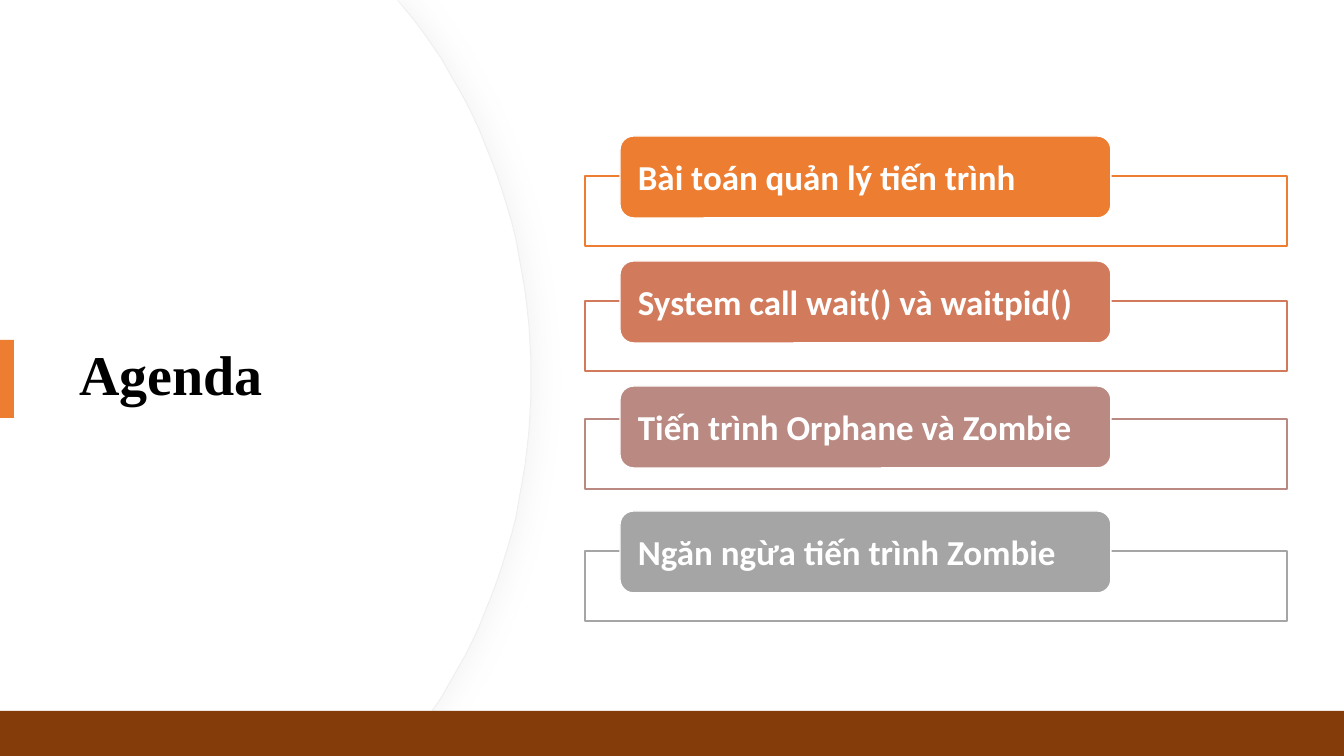
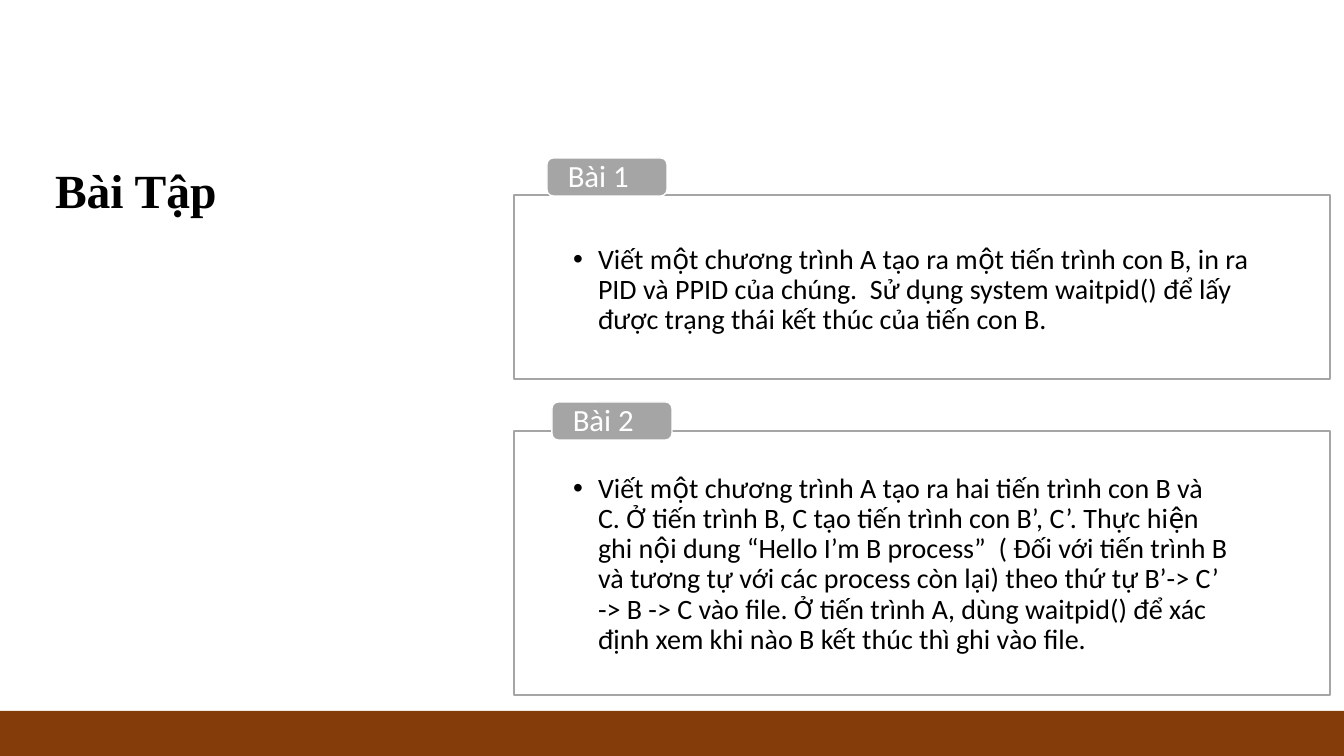
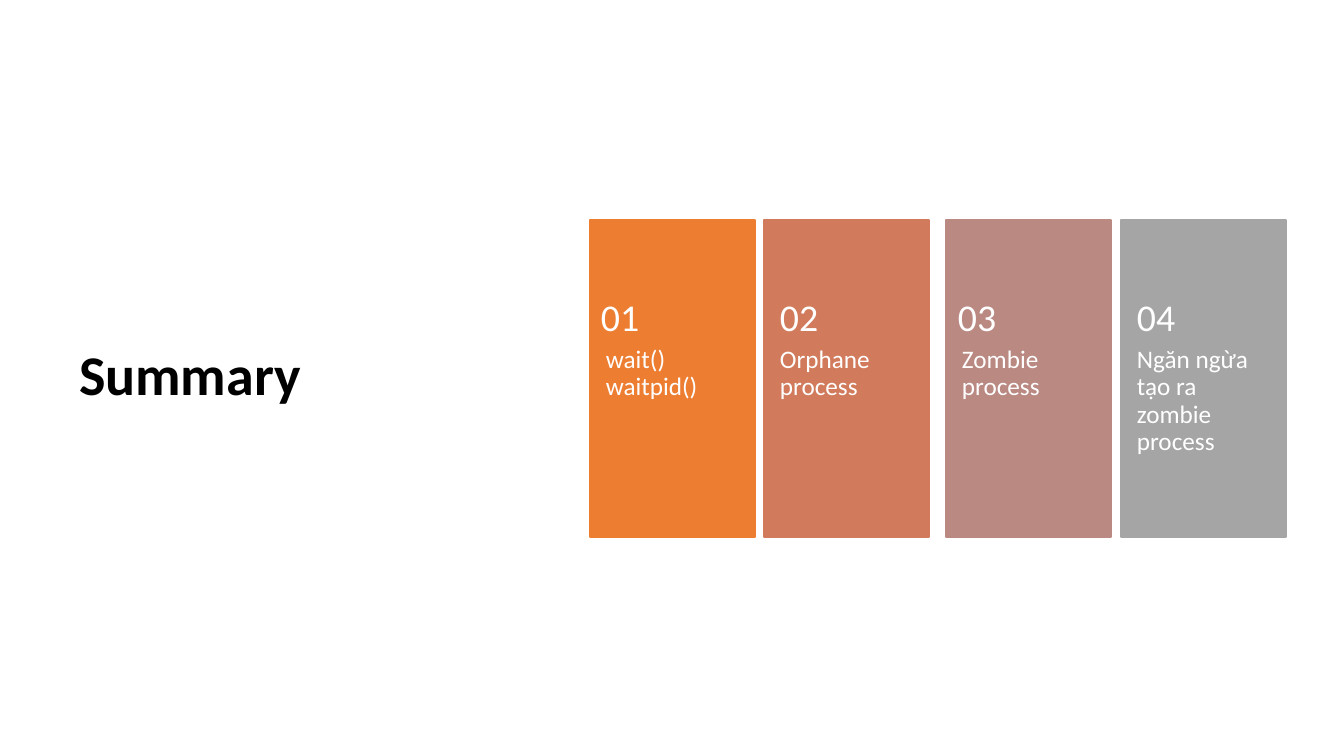
import lxml.etree
import pptx
import pptx.dml.color
import pptx.enum.shapes
import pptx.enum.text
import pptx.oxml.ns
import pptx.util

PX = 914400 / 100.8
WIDTH, HEIGHT = 1344, 756
WHITE, BLACK, BROWN, RIM, SHADE = "FFFFFF", "000000", "843C0B", "EFEFEF", "D9D9D9"
ORANGE, GREY = "ED7D31", "A5A5A5"
STEPS = [ORANGE, "D17B5C", "B98982", GREY]
RECT = pptx.enum.shapes.MSO_SHAPE.RECTANGLE
ROUNDED = pptx.enum.shapes.MSO_SHAPE.ROUNDED_RECTANGLE
TOP = pptx.enum.text.MSO_ANCHOR.TOP
MIDDLE = pptx.enum.text.MSO_ANCHOR.MIDDLE
BOTTOM = pptx.enum.text.MSO_ANCHOR.BOTTOM

TITLE = {"size": 40, "bold": True, "color": BLACK, "insets": (10, 5, 10, 5), "spacing": 0.9}
LABEL = {"size": 25, "bold": True, "insets": (14, 0, 14, 0)}
TAB = {"size": 22, "insets": (19, 1, 19, 0), "spacing": 0.9}
TASK = {"size": 20, "color": BLACK, "anchor": TOP, "spacing": 0.9}
CAPTION = {"size": 18, "insets": (16, 127, 16, 36), "anchor": TOP, "spacing": 0.9}
NUMBER = {"size": 27, "insets": (16, 18, 16, 18), "spacing": 0.9}

# The Vietnamese keyboard types a tone as a combining mark after its vowel
VOWELS = "aăâeêioôơuưy"
TONES = {0x300: "àằầèềìòồờùừỳ", 0x301: "áắấéếíóốớúứý", 0x303: "ãẵẫẽễĩõỗỡũữỹ",
         0x309: "ảẳẩẻểỉỏổởủửỷ", 0x323: "ạặậẹệịọộợụựỵ"}
TYPED_TONES = str.maketrans({
    toned: vowel + chr(mark)
    for mark, row in TONES.items()
    for toned, vowel in zip(row + row.upper(), VOWELS + VOWELS.upper())})


def rgb(code):
    return pptx.dml.color.RGBColor.from_string(code)


def dress(shape, at, fill=None, line=None, text="", size=18, bold=False, color=WHITE,
          font="Calibri", insets=(0, 0, 0, 0), anchor=MIDDLE, spacing=1.0):
    """Place a shape, text box or placeholder, paint it and write its one paragraph."""
    for side, length in zip(("left", "top", "width", "height"), at):
        setattr(shape, side, round(length * PX))
    shape.shadow.inherit = False
    for paint, code in ((shape.fill, fill), (shape.line.fill, line)):
        if code:
            paint.solid()
            paint.fore_color.rgb = rgb(code)
        else:
            paint.background()
    if line:
        shape.line.width = pptx.util.Pt(1)
    if not text:
        return
    frame = shape.text_frame
    margins = ("margin_left", "margin_top", "margin_right", "margin_bottom")
    layout = {name: round(inset * PX) for name, inset in zip(margins, insets)}
    layout |= {"word_wrap": True, "vertical_anchor": anchor,
               "auto_size": pptx.enum.text.MSO_AUTO_SIZE.NONE}
    for name, value in layout.items():
        setattr(frame, name, value)
    paragraph = frame.paragraphs[0]
    flow = {"alignment": pptx.enum.text.PP_ALIGN.LEFT, "line_spacing": spacing,
            "space_before": pptx.util.Pt(0)}
    for name, value in flow.items():
        setattr(paragraph, name, value)
    run = paragraph.add_run()
    run.text = text.translate(TYPED_TONES)
    for name, value in {"name": font, "size": pptx.util.Pt(size), "bold": bold}.items():
        setattr(run.font, name, value)
    run.font.color.rgb = rgb(color)


deck = pptx.Presentation()
deck.slide_width, deck.slide_height = round(WIDTH * PX), round(HEIGHT * PX)
TITLE_ONLY, TWO_CONTENT = deck.slide_layouts[5], deck.slide_layouts[3]
agenda, exercises, summary = [
    deck.slides.add_slide(layout) for layout in (TITLE_ONLY, TWO_CONTENT, TITLE_ONLY)]

# Shared titles and bottom band
SIDE_TITLE = (69, 128, 397, 499)
for slide, text, at, look in (
        (agenda, "Agenda", SIDE_TITLE, {"font": "Times New Roman"}),
        (exercises, "Bài Tập", (45, 104, 490, 120),
         {"font": "Times New Roman", "size": 34, "anchor": BOTTOM}),
        (summary, "Summary", SIDE_TITLE, {})):
    dress(slide.shapes.title, at, text=text, **(TITLE | look))

# Agenda: curved panel behind the title, its right edge a mirrored Bezier curve
SAMPLES = 24
for edge, rim in ((531, RIM), (530, None)):
    control = [(edge - 127, 8), (edge - 48, 103), (edge, 234), (edge, 378)]
    upper = []
    for sample in range(SAMPLES + 1):
        t = sample / SAMPLES
        weights = ((1 - t) ** 3, 3 * t * (1 - t) ** 2, 3 * t ** 2 * (1 - t), t ** 3)
        upper.append([sum(w * point[axis] for w, point in zip(weights, control))
                      for axis in (0, 1)])
    lower = [(x, HEIGHT - y) for x, y in reversed(upper[:-1])]
    outline = agenda.shapes.build_freeform(0, 0, scale=PX)
    outline.add_line_segments(
        [(397, 0), *upper, *lower, (397, HEIGHT), (0, HEIGHT)], close=True)
    panel = outline.convert_to_shape()
    dress(panel, (0, 0, edge, HEIGHT), WHITE, rim)
    agenda.shapes.title._element.addprevious(panel._element)
    if rim:
        panel.line.width = pptx.util.Pt(0.75)
        qn = pptx.oxml.ns.qn
        effects = panel._element.spPr.find(qn("a:effectLst"))
        shadow = lxml.etree.SubElement(
            effects, qn("a:outerShdw"), blurRad=str(pptx.util.Pt(20)),
            dist=str(pptx.util.Pt(3)), dir="0", algn="l", rotWithShape="0")
        shade = lxml.etree.SubElement(shadow, qn("a:srgbClr"), val=SHADE)
        lxml.etree.SubElement(shade, qn("a:alpha"), val="30000")

dress(agenda.shapes.add_shape(RECT, 0, 0, 0, 0), (0, 340, 14, 78), ORANGE)
for slide in (agenda, exercises):
    dress(slide.shapes.add_shape(RECT, 0, 0, 0, 0), (0, 711, WIDTH, 45), BROWN)

topics = [("Bài toán quản lý tiến trình", 40), ("System call wait() và waitpid()", 40),
          ("Tiến trình Orphane và Zombie", 33), ("Ngăn ngừa tiến trình Zombie", 40)]
for row, (topic, drop) in enumerate(topics):
    top = 136 + 125 * row
    dress(agenda.shapes.add_shape(RECT, 0, 0, 0, 0), (585, top + drop, 702, 70),
          WHITE, STEPS[row])
    dress(agenda.shapes.add_shape(ROUNDED, 0, 0, 0, 0), (620, top, 491, 82),
          STEPS[row], WHITE, topic, **LABEL)

# Exercises: framed tasks, each with a tab on its upper edge
tasks = [
    ("Bài 1", (547, 158), (195, 184), (59, 50, 68, 17),
     "Viết một chương trình A tạo ra một tiến trình con B, in ra PID và PPID của chúng.  "
     "Sử dụng system waitpid() để lấy được trạng thái kết thúc của tiến con B."),
    ("Bài 2", (552, 402), (431, 264), (59, 43, 102, 17),
     "Viết một chương trình A tạo ra hai tiến trình con B và C. Ở tiến trình B, C tạo "
     "tiến trình con B’, C’. Thực hiện ghi nội dung “Hello I’m B process”  ( Đối với "
     "tiến trình B và tương tự với các process còn lại) theo thứ tự B’-> C’ -> B -> C "
     "vào file. Ở tiến trình A, dùng waitpid() để xác định xem khi nào B kết thúc thì "
     "ghi vào file."),
]
for number, (heading, corner, (top, height), insets, task) in enumerate(tasks, 1):
    body = exercises.placeholders[number]
    dress(body, (514, top, 816, height), WHITE, GREY, task, insets=insets, **TASK)
    indents = body.text_frame.paragraphs[0]._p.get_or_add_pPr()
    indents.set("marL", str(round(25 * PX)))
    indents.set("indent", str(round(-25 * PX)))
    dress(exercises.shapes.add_shape(ROUNDED, 0, 0, 0, 0), (*corner, 120, 38),
          GREY, WHITE, heading, **TAB)

# Summary: numbered cards
cards = [("wait() waitpid()", 590, 585), ("Orphane process", 764, 764),
         ("Zombie process", 946, 942), ("Ngăn ngừa tạo ra zombie process", 1121, 1121)]
for number, (caption, left, number_left) in enumerate(cards, 1):
    shade = STEPS[number - 1]
    dress(summary.shapes.add_shape(RECT, 0, 0, 0, 0), (left, 220, 165, 317),
          shade, shade, caption, **CAPTION)
    dress(summary.shapes.add_textbox(0, 0, 0, 0), (number_left, 279, 165, 80),
          text=f"{number:02}", **NUMBER)

deck.save("out.pptx")
